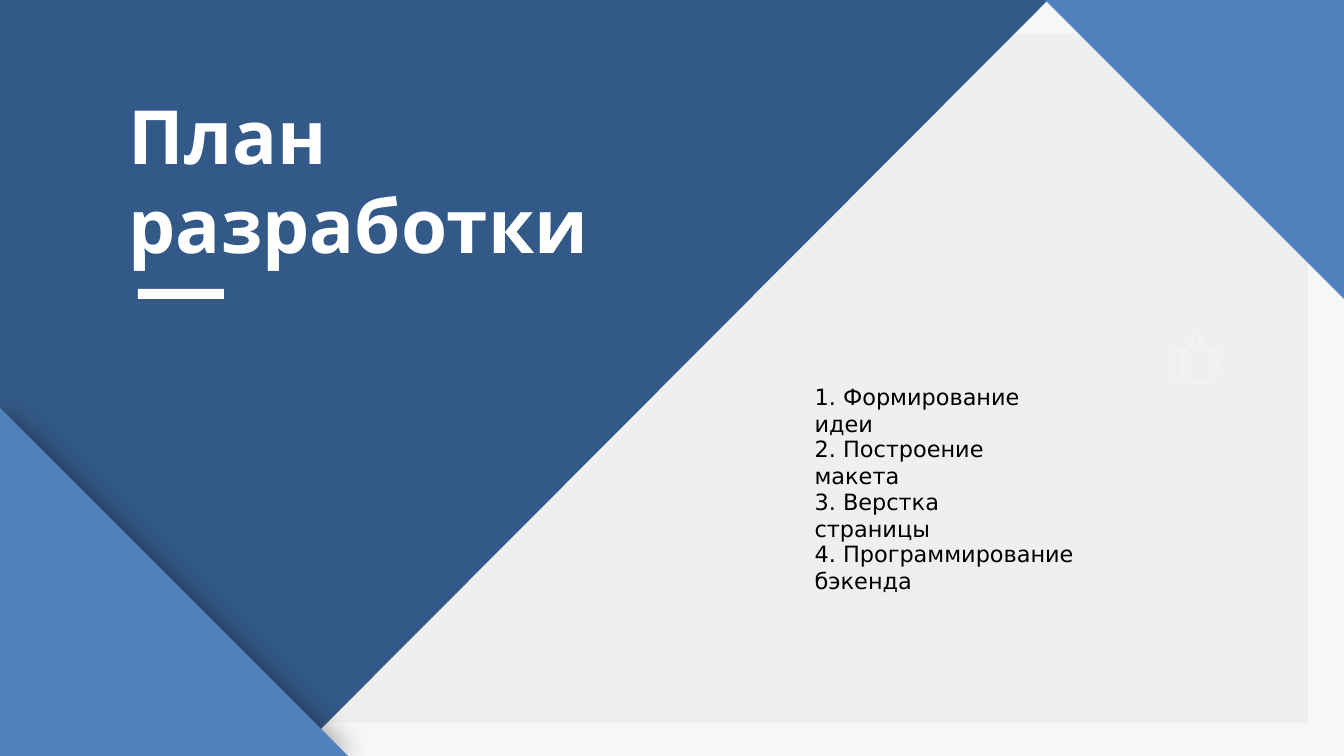
from dataclasses import dataclass

from lxml import etree
from pptx import Presentation
from pptx.dml.color import RGBColor
from pptx.enum.shapes import MSO_SHAPE
from pptx.enum.text import MSO_ANCHOR, MSO_AUTO_SIZE, PP_ALIGN
from pptx.oxml import parse_xml
from pptx.oxml.ns import nsdecls, qn
from pptx.util import Emu, Pt

RECT, OVAL = MSO_SHAPE.RECTANGLE, MSO_SHAPE.OVAL
ROUND, WEDGE = MSO_SHAPE.ROUNDED_RECTANGLE, MSO_SHAPE.RIGHT_TRIANGLE
TOP, LEFT, GROW = MSO_ANCHOR.TOP, PP_ALIGN.LEFT, MSO_AUTO_SIZE.SHAPE_TO_FIT_TEXT

SCALE = 914400 / 67.2
WIDE, HIGH = 1344, 756
COLORS = {
    "page": "F7F7F7", "panel": "EFEFEF", "navy": "1F497D", "blue": "4F81BD",
    "icon": "F2F2F2", "white": "FFFFFF", "black": "000000", "shade": "0D0D0D",
}


@dataclass
class Block:
    """A filled preset shape, measured in pixels."""
    kind: int
    box: tuple[int, int, int, int]
    color: str
    turn: int = 0


@dataclass
class Step:
    """One line of the plan."""
    text: str
    left: int
    top: int
    width: int


PANELS = [
    Block(RECT, (0, 0, WIDE, HIGH), "page"),
    Block(RECT, (36, 34, 1272, 689), "panel"),
]
CORNER = Block(WEDGE, (1045, 0, 299, 299), "blue", 180)
BASE = Block(WEDGE, (0, 408, 348, 348), "blue")
RULE = Block(RECT, (138, 289, 86, 10), "white")
FIELD = [(0, 0), (1048, 0), (294, HIGH), (0, HIGH)]
CUFF = Block(ROUND, (1173, 351, 10, 32), "icon")
DOT = Block(OVAL, (1177, 376, 3, 3), "icon")
HAND = [
    (1183, 352), (1188, 349), (1192, 343), (1193, 337), (1196, 335),
    (1200, 338), (1202, 344), (1200, 351), (1215, 351), (1220, 354),
    (1219, 359), (1212, 360), (1218, 361), (1218, 366), (1210, 367),
    (1217, 370), (1215, 374), (1209, 376), (1214, 378), (1210, 382),
    (1201, 383), (1191, 382), (1183, 379),
]
STEPS = [
    Step("1. Формирование идеи", 808, 380, 280),
    Step("2. Построение макета", 808, 432, 270),
    Step("3. Верстка страницы", 808, 485, 258),
    Step("4. Программирование бэкенда", 808, 537, 372),
]


def px(size: float) -> Emu:
    """Turn pixels into EMU."""
    return Emu(round(size * SCALE))


def tint(name: str) -> RGBColor:
    """Look up a named colour."""
    return RGBColor.from_string(COLORS[name])


def paint(shape, color: str):
    """Give a shape a plain fill, without line or shadow."""
    shape.shadow.inherit = False
    shape.fill.solid()
    shape.fill.fore_color.rgb = tint(color)
    shape.line.fill.background()
    return shape


def trace(shape, color: str, width: float) -> None:
    """Show a shape as an outline only."""
    shape.fill.background()
    shape.line.color.rgb = tint(color)
    shape.line.width = px(width)


def draw(shapes, block: Block):
    """Add one preset shape."""
    shape = shapes.add_shape(block.kind, *map(px, block.box))
    shape.rotation = block.turn
    return paint(shape, block.color)


def outline(shapes, points: list[tuple[int, int]], color: str):
    """Add a closed polygon."""
    pen = shapes.build_freeform(*points[0], scale=SCALE)
    pen.add_line_segments(points[1:], close=True)
    return paint(pen.convert_to_shape(), color)


def fade(shape, alpha: int) -> None:
    """Set the opacity of a solid fill in percent."""
    color = shape.fill._xPr.find(qn("a:solidFill"))[0]
    etree.SubElement(color, qn("a:alpha")).set("val", str(alpha * 1000))


def shade(shape) -> None:
    """Cast a soft shadow up and to the right."""
    effects = shape.element.spPr.find(qn("a:effectLst"))
    effects.append(parse_xml(
        f'<a:outerShdw {nsdecls("a")} blurRad="{Pt(28)}" dist="{Pt(3)}" '
        f'dir="{315 * 60000}" algn="bl" rotWithShape="0">'
        f'<a:srgbClr val="{COLORS["shade"]}"><a:alpha val="40000"/>'
        '</a:srgbClr></a:outerShdw>'))


def write(shape, text: str, font: str, size: int, color: str,
          bold: bool = False) -> None:
    """Fill a shape with wrapped, left-aligned text."""
    frame = shape.text_frame
    frame.text = text
    frame.word_wrap = True
    frame.auto_size = GROW
    frame.vertical_anchor = TOP
    para = frame.paragraphs[0]
    para.alignment = LEFT
    face = para.runs[0].font
    face.name, face.size, face.bold = font, Pt(size), bold
    face.color.rgb = tint(color)


def place(shape, left: int, top: int, width: int, height: int) -> None:
    """Move and size a shape."""
    shape.left, shape.top = px(left), px(top)
    shape.width, shape.height = px(width), px(height)


def thumb(shapes) -> None:
    """Draw the raised thumb icon."""
    trace(draw(shapes, CUFF), "icon", 3)
    trace(outline(shapes, HAND, "icon"), "icon", 3)
    trace(draw(shapes, DOT), "icon", 2)


def main() -> None:
    """Build the slide and save it."""
    deck = Presentation()
    deck.slide_width, deck.slide_height = px(WIDE), px(HIGH)
    slide = deck.slides.add_slide(deck.slide_layouts[5])
    shapes = slide.shapes
    title = shapes.title

    for panel in PANELS:
        draw(shapes, panel)
    fade(outline(shapes, FIELD, "navy"), 90)
    draw(shapes, CORNER)

    title.element.getparent().append(title.element)
    place(title, 122, 86, 536, 187)
    write(title, "План разработки", "Cabin", 80, "white", True)

    shade(draw(shapes, BASE))
    thumb(shapes)
    draw(shapes, RULE)
    for step in STEPS:
        box = shapes.add_textbox(*map(px, (step.left, step.top, step.width, 60)))
        write(box, step.text, "DejaVu Sans", 24, "black")
    deck.save("out.pptx")


main()
